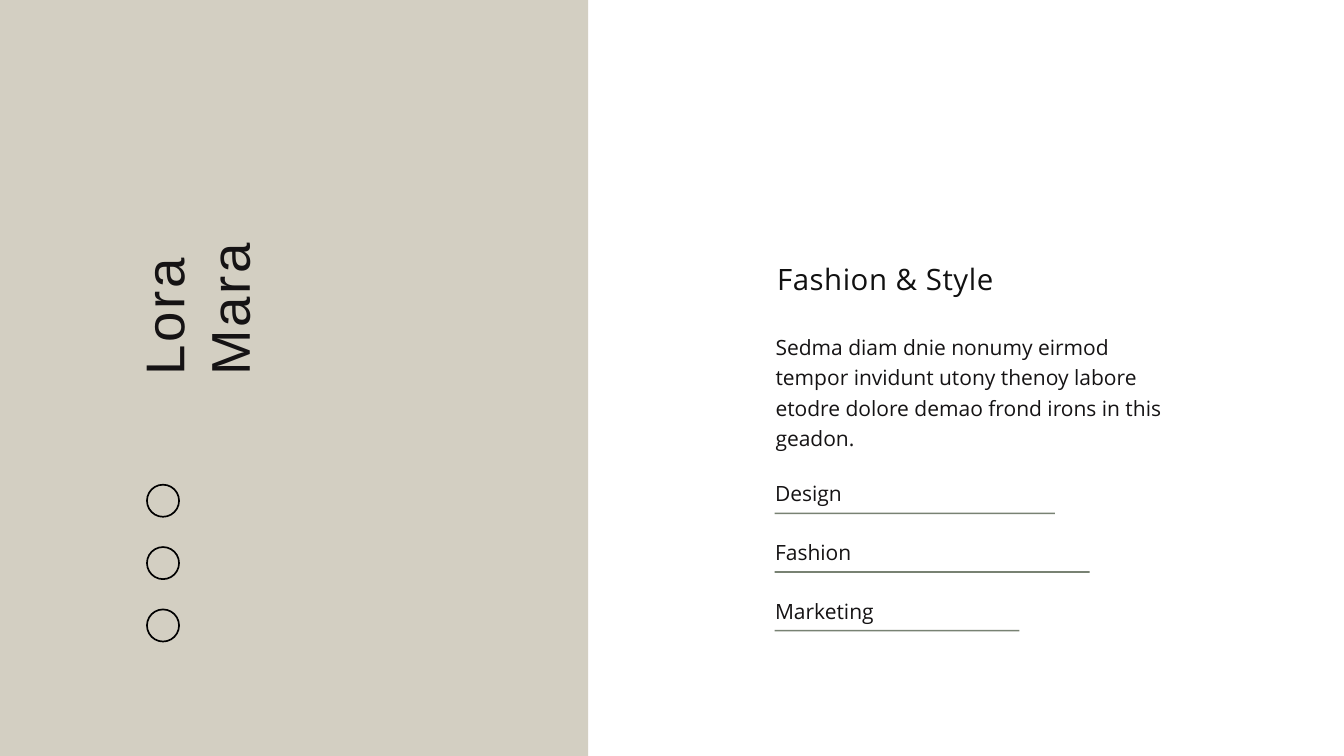
from dataclasses import dataclass

from pptx import Presentation
from pptx.dml.color import RGBColor
from pptx.enum.shapes import MSO_SHAPE
from pptx.enum.text import MSO_ANCHOR, MSO_AUTO_SIZE, PP_ALIGN
from pptx.util import Inches, Pt

SAND = RGBColor(0xD3, 0xCF, 0xC2)
SAGE = RGBColor(0x78, 0x82, 0x73)
INK = RGBColor(0x15, 0x13, 0x14)
CHARCOAL = RGBColor(0x11, 0x11, 0x11)
BLACK = RGBColor(0x00, 0x00, 0x00)

NAME_STYLE = {"name": "Arial", "size": Pt(78)}
HEADING_STYLE = {"name": "Open Sans", "size": Pt(42)}
BODY_STYLE = {"name": "Open Sans", "size": Pt(30)}

# Label, label width and rule width, as percentages of the column width
SKILLS = [
    ("Design", 29.51, 67.8),
    ("Fashion", 34.02, 76.22),
    ("Marketing", 34.02, 59.27),
]
BADGE_COUNT = 3


@dataclass
class Box:
    left: float
    top: float
    width: float
    height: float

    def share(self, left, top, width, height):
        """Return a box inside this one, given in percent of its size."""
        return Box(
            self.left + self.width * left / 100,
            self.top + self.height * top / 100,
            self.width * width / 100,
            self.height * height / 100,
        )

    def place(self):
        return [round(n) for n in (self.left, self.top, self.width, self.height)]


def add_filled(page, kind, box, color, adjustment=None):
    shape = page.shapes.add_shape(kind, *box.place())
    shape.shadow.inherit = False
    shape.fill.solid()
    shape.fill.fore_color.rgb = color
    shape.line.fill.background()
    if adjustment is not None:
        shape.adjustments[0] = adjustment
    return shape


def add_text(page, box, text, style, color=INK, line_spacing=None,
             tracking=None, inset=0.05):
    shape = page.shapes.add_textbox(*box.place())
    frame = shape.text_frame
    frame_format = {
        "word_wrap": True,
        "auto_size": MSO_AUTO_SIZE.SHAPE_TO_FIT_TEXT,
        "vertical_anchor": MSO_ANCHOR.TOP,
    }
    for side in ("left", "top", "right", "bottom"):
        frame_format[f"margin_{side}"] = Inches(inset)
    for key, value in frame_format.items():
        setattr(frame, key, value)
    para = frame.paragraphs[0]
    para.alignment = PP_ALIGN.LEFT
    if line_spacing:
        para.line_spacing = line_spacing
    span = para.add_run()
    span.text = text
    for key, value in style.items():
        setattr(span.font, key, value)
    span.font.color.rgb = color
    if tracking:
        # Letter spacing, in hundredths of a point
        span.font._element.set("spc", str(round(tracking * 100)))
    return shape


def add_name_panel(page, box):
    add_filled(page, MSO_SHAPE.RECTANGLE, box, SAND)

    # Name, reading upwards and wrapped to two lines
    name = add_text(page, box.share(4.46, 27.27, 46.44, 9.4), "Lora Mara",
                    NAME_STYLE, tracking=3.9)
    name.rotation = 270
    name.text_frame.margin_right = Inches(0.3)

    # Column of plain round badges
    for row in range(BADGE_COUNT):
        badge = box.share(24.85, 64 + 8.25 * row, 5.74, 4.47)
        add_filled(page, MSO_SHAPE.DONUT, badge, BLACK, 0.05)


def add_skill(page, box, label, label_width, rule_width):
    add_text(page, box.share(0, 0, label_width, 57.5), label, BODY_STYLE,
             line_spacing=1.2)
    add_filled(page, MSO_SHAPE.ROUNDED_RECTANGLE,
               box.share(0.49, 66.9, rule_width, 2.57), SAGE, 0)


def add_profile_column(page, box):
    # Heading and introduction
    add_text(page, box.share(0.49, 0, 72.8, 11.91), "Fashion & Style",
             HEADING_STYLE, CHARCOAL, line_spacing=1.1, tracking=0.8)
    add_text(page, box.share(0, 19.01, 100, 27.44),
             "Sedma diam dnie nonumy eirmod tempor invidunt utony thenoy "
             "labore etodre dolore demao frond irons in this geadon.",
             BODY_STYLE, line_spacing=1.2, inset=0.06)

    # Underlined skills at an even pitch
    pitch = 15.6
    for row, skill in enumerate(SKILLS):
        add_skill(page, box.share(0, 57.97 + pitch * row, 100, pitch), *skill)


def main():
    deck = Presentation()
    deck.slide_width = Inches(26.67)
    deck.slide_height = Inches(15)
    page = deck.slides.add_slide(deck.slide_layouts[6])
    whole = Box(0, 0, deck.slide_width, deck.slide_height)

    add_name_panel(page, whole.share(0, 0, 43.76, 100))
    add_profile_column(page, whole.share(57.48, 33.73, 30.75, 49.8))

    deck.save("out.pptx")


if __name__ == "__main__":
    main()
